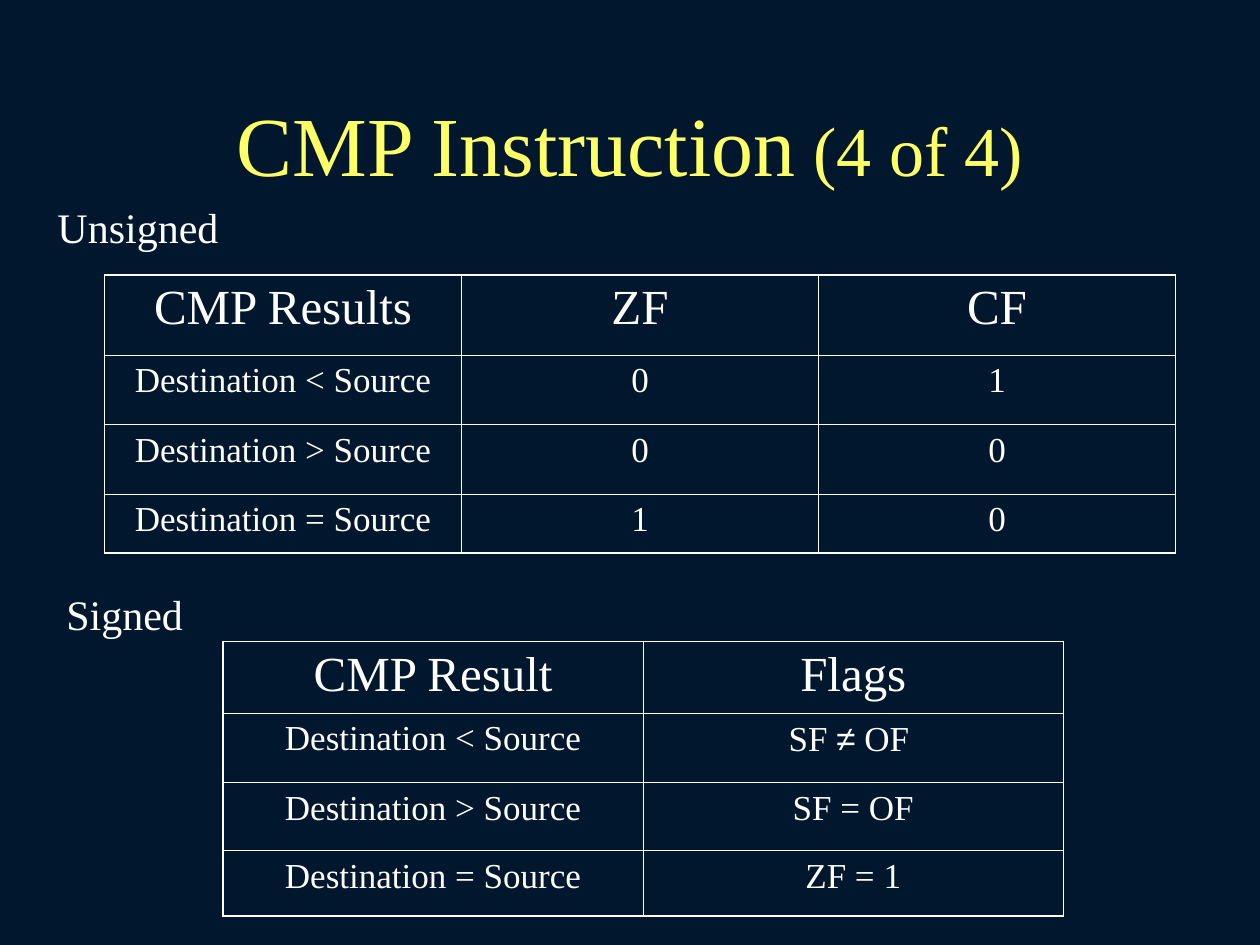
from lxml import etree
from pptx import Presentation
from pptx.dml.color import RGBColor
from pptx.enum import text as t
from pptx.oxml import ns
from pptx.util import Inches, Pt

NAVY = RGBColor(0x00, 0x17, 0x2E)
YELLOW = RGBColor(0xFF, 0xFF, 0x66)
WHITE = RGBColor(0xFF, 0xFF, 0xFF)
SERIF = "Times New Roman"
OUTER, INNER = 1.08, 0.45

TITLE = [("CMP Instruction", 48, SERIF), (" (4 of 4)", 40, SERIF)]
LABELS = [
    ("Unsigned", (0.34, 1.55, 1.51, 0.5)),
    ("Signed", (0.41, 4.62, 1.16, 0.5)),
]
NOT_EQUAL = [("SF ", 20, SERIF), ("≠", 20, "Arial"), (" OF ", 20, SERIF)]
TABLES = [
    {
        "at": (0.83, 2.18),
        "width": 8.5,
        "heights": [0.64, 0.55, 0.55, 0.47],
        "rows": [
            ["CMP Results", "ZF", "CF"],
            ["Destination < Source", "0", "1"],
            ["Destination > Source", "0", "0"],
            ["Destination = Source", "1", "0"],
        ],
    },
    {
        "at": (1.77, 5.09),
        "width": 6.67,
        "heights": [0.57, 0.55, 0.54, 0.52],
        "rows": [
            ["CMP Result", "Flags"],
            ["Destination < Source", NOT_EQUAL],
            ["Destination > Source", "SF = OF"],
            ["Destination = Source", "ZF = 1"],
        ],
    },
]


def write(frame, content, size=20, color=WHITE):
    runs = [(content, size, SERIF)] if isinstance(content, str) else content
    paragraph = frame.paragraphs[0]
    paragraph.alignment = t.PP_ALIGN.CENTER
    for words, points, face in runs:
        run = paragraph.add_run()
        run.text = words
        run.font.size = Pt(points)
        run.font.name = face
        run.font.color.rgb = color


def set_borders(cell, widths):
    properties = cell._tc.get_or_add_tcPr()
    for position, (side, width) in enumerate(widths.items()):
        line = etree.Element(ns.qn(f"a:ln{side}"), w=str(Pt(width)))
        fill = etree.SubElement(line, ns.qn("a:solidFill"))
        etree.SubElement(fill, ns.qn("a:srgbClr"), val=str(WHITE))
        properties.insert(position, line)


def add_text(slide, box, content, wrap=False, **style):
    frame = slide.shapes.add_textbox(*map(Inches, box)).text_frame
    frame.word_wrap = wrap
    frame.vertical_anchor = t.MSO_ANCHOR.MIDDLE if wrap else t.MSO_ANCHOR.TOP
    if not wrap:
        frame.auto_size = t.MSO_AUTO_SIZE.SHAPE_TO_FIT_TEXT
    write(frame, content, **style)


def add_flag_table(slide, at, width, heights, rows):
    last_row, last_column = len(rows) - 1, len(rows[0]) - 1
    box = (*at, width, sum(heights))
    table = slide.shapes.add_table(len(rows), len(rows[0]), *map(Inches, box)).table
    table.first_row = table.horz_banding = False
    for column in table.columns:
        column.width = Inches(width / len(rows[0]))
    for r, (height, contents) in enumerate(zip(heights, rows)):
        table.rows[r].height = Inches(height)
        for c, content in enumerate(contents):
            cell = table.cell(r, c)
            cell.fill.background()
            write(cell.text_frame, content, size=20 if r else 28)
            edges = {"L": c == 0, "R": c == last_column, "T": r == 0, "B": r == last_row}
            set_borders(cell, {s: OUTER if edge else INNER for s, edge in edges.items()})


def main():
    deck = Presentation()
    deck.slide_width, deck.slide_height = Inches(10), Inches(7.5)
    slide = deck.slides.add_slide(deck.slide_layouts[6])
    slide.background.fill.solid()
    slide.background.fill.fore_color.rgb = NAVY
    add_text(slide, (0.75, 0.67, 8.5, 0.92), TITLE, wrap=True, color=YELLOW)
    for flag_table in TABLES:
        add_flag_table(slide, **flag_table)
    for label, box in LABELS:
        add_text(slide, box, label, size=24)
    deck.save("out.pptx")


if __name__ == "__main__":
    main()
